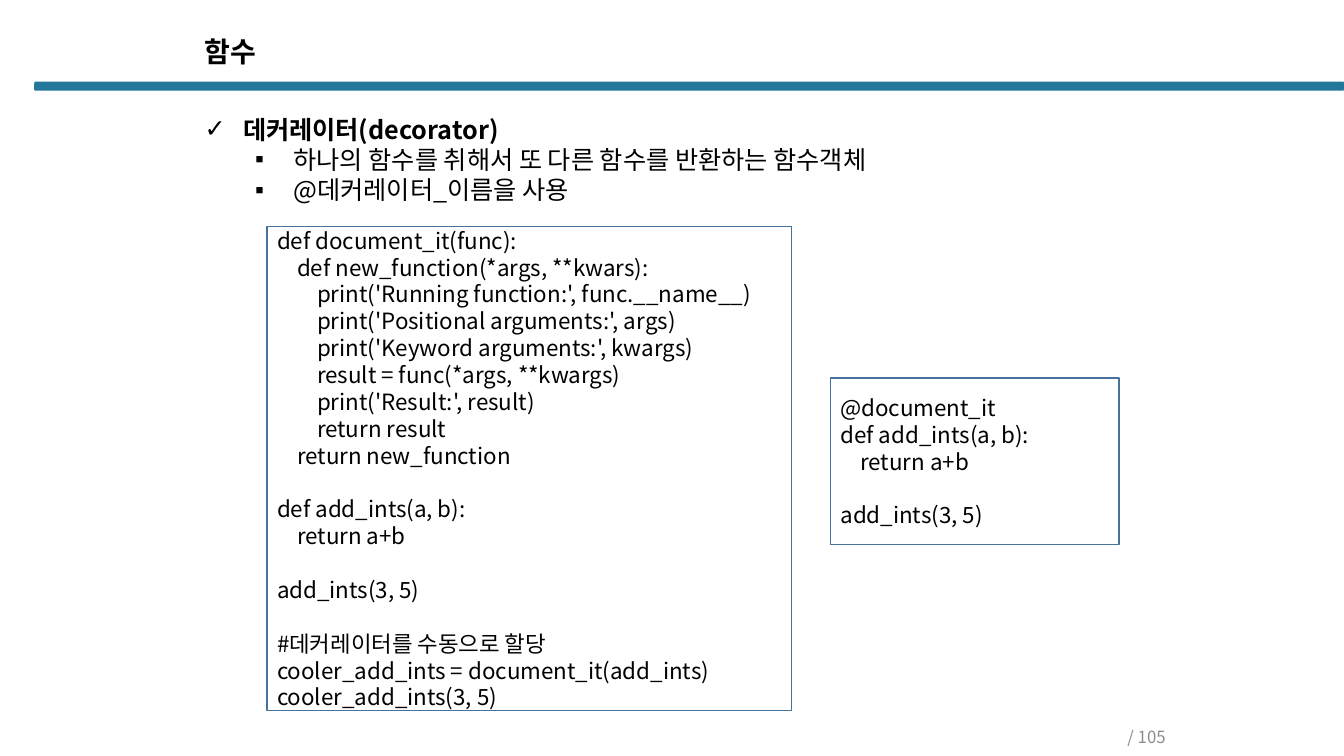
import typing

import lxml.etree
import pptx
import pptx.dml.color
import pptx.enum.shapes
import pptx.enum.text
import pptx.oxml.ns
import pptx.shapes.autoshape
import pptx.text.text
import pptx.util

FACE = "Noto Sans CJK KR"
HUES = {"bar": "22779B", "edge": "43739E", "text": "000000", "foot": "8C8C8C"}
WIDE = pptx.util.Inches(13.33)
HIGH = pptx.util.Inches(7.5)
ALIGN = pptx.enum.text.PP_ALIGN
ANCHOR = pptx.enum.text.MSO_ANCHOR
FORM = pptx.enum.shapes.MSO_SHAPE
FRAME = {
    "word_wrap": True,
    "auto_size": pptx.enum.text.MSO_AUTO_SIZE.NONE,
    "margin_left": pptx.util.Inches(0.1),
    "margin_right": pptx.util.Inches(0.1),
    "margin_top": pptx.util.Inches(0.05),
    "margin_bottom": pptx.util.Inches(0.05),
}
CODE_SIZE = 16
CODE_LEAD = CODE_SIZE * 1.2


class Box(typing.NamedTuple):
    """Place in percent of the slide's width and height."""
    x: float
    y: float
    w: float
    h: float


class Point(typing.NamedTuple):
    text: str
    mark: str
    level: int
    bold: bool


class Code(typing.NamedTuple):
    box: Box
    text: str


POINTS = [
    Point("데커레이터(decorator)", "✓", 0, True),
    Point("하나의 함수를 취해서 또 다른 함수를 반환하는 함수객체", "▪", 1, False),
    Point("@데커레이터_이름을 사용", "▪", 1, False),
]

CODES = [
    Code(Box(19.88, 30, 39.01, 64), """\
def document_it(func):
    def new_function(*args, **kwars):
        print('Running function:', func.__name__)
        print('Positional arguments:', args)
        print('Keyword arguments:', kwargs)
        result = func(*args, **kwargs)
        print('Result:', result)
        return result
    return new_function

def add_ints(a, b):
    return a+b

add_ints(3, 5)

#데커레이터를 수동으로 할당
cooler_add_ints = document_it(add_ints)
cooler_add_ints(3, 5)"""),
    Code(Box(61.8, 50, 21.46, 22), """\
@document_it
def add_ints(a, b):
    return a+b

add_ints(3, 5)"""),
]


def apply(thing: typing.Any, values: dict[str, typing.Any]) -> None:
    for name, value in values.items():
        setattr(thing, name, value)


def span(box: Box) -> dict[str, int]:
    return {
        "left": round(WIDE * box.x / 100),
        "top": round(HIGH * box.y / 100),
        "width": round(WIDE * box.w / 100),
        "height": round(HIGH * box.h / 100),
    }


def tint(hue: str) -> pptx.dml.color.RGBColor:
    return pptx.dml.color.RGBColor.from_string(HUES[hue])


def setup(frame: pptx.text.text.TextFrame, anchor: ANCHOR) -> None:
    apply(frame, FRAME | {"vertical_anchor": anchor})


def write(frame: pptx.text.text.TextFrame, text: str, size: float, first: bool = True,
          bold: bool = False, hue: str = "text",
          **form: typing.Any) -> pptx.text.text._Paragraph:
    """Fill the first paragraph of a frame, or add one after it."""
    para = frame.paragraphs[0] if first else frame.add_paragraph()
    apply(para, {"alignment": ALIGN.LEFT, "space_before": pptx.util.Pt(0)} | form)
    run = para.add_run()
    run.text = text
    apply(run.font, {"name": FACE, "size": pptx.util.Pt(size), "bold": bold})
    run.font.color.rgb = tint(hue)
    east = lxml.etree.SubElement(run._r.get_or_add_rPr(), pptx.oxml.ns.qn("a:ea"))
    east.set("typeface", FACE)
    return para


def bullet(para: pptx.text.text._Paragraph, mark: str, left: float) -> None:
    props = para._p.get_or_add_pPr()
    props.set("marL", str(pptx.util.Inches(left)))
    props.set("indent", str(pptx.util.Inches(-0.38)))
    lxml.etree.SubElement(props, pptx.oxml.ns.qn("a:buChar")).set("char", mark)


def shape(slide: pptx.slide.Slide, form: FORM, box: Box) -> pptx.shapes.autoshape.Shape:
    item = slide.shapes.add_shape(form, **span(box))
    item.shadow.inherit = False
    return item


def panel(slide: pptx.slide.Slide, code: Code) -> None:
    """Draw a framed listing; an empty line becomes space before the next."""
    item = shape(slide, FORM.RECTANGLE, code.box)
    item.fill.background()
    item.line.color.rgb = tint("edge")
    item.line.width = pptx.util.Pt(1)
    frame = item.text_frame
    setup(frame, ANCHOR.MIDDLE)
    gap = 0.0
    for row, line in enumerate(code.text.split("\n")):
        if line:
            write(frame, line, CODE_SIZE, row == 0, space_before=pptx.util.Pt(gap))
        gap = 0.0 if line else CODE_LEAD


def main() -> None:
    deck = pptx.Presentation()
    deck.slide_width, deck.slide_height = WIDE, HIGH
    slide = deck.slides.add_slide(deck.slide_layouts[1])

    bar = shape(slide, FORM.ROUNDED_RECTANGLE, Box(2.55, 10.8, 97.45, 1.2))
    bar.adjustments[0] = 0.13
    bar.fill.solid()
    bar.fill.fore_color.rgb = tint("bar")
    bar.line.fill.background()

    title = slide.shapes.title
    apply(title, span(Box(14.48, 4.4, 44.49, 6.27)))
    setup(title.text_frame, ANCHOR.TOP)
    write(title.text_frame, "함수", 20, bold=True, line_spacing=0.9)

    body = slide.placeholders[1]
    apply(body, span(Box(14.48, 14.4, 68.87, 13.47)))
    setup(body.text_frame, ANCHOR.TOP)
    for row, point in enumerate(POINTS):
        para = write(body.text_frame, point.text, 18, row == 0, point.bold,
                     level=point.level)
        bullet(para, point.mark, 0.38 + 0.5 * point.level)

    for code in CODES:
        panel(slide, code)

    foot = slide.shapes.add_textbox(**span(Box(70, 95.87, 17.48, 3.07)))
    setup(foot.text_frame, ANCHOR.MIDDLE)
    write(foot.text_frame, "/ 105", 12, hue="foot", alignment=ALIGN.RIGHT)

    deck.save("out.pptx")


if __name__ == "__main__":
    main()
